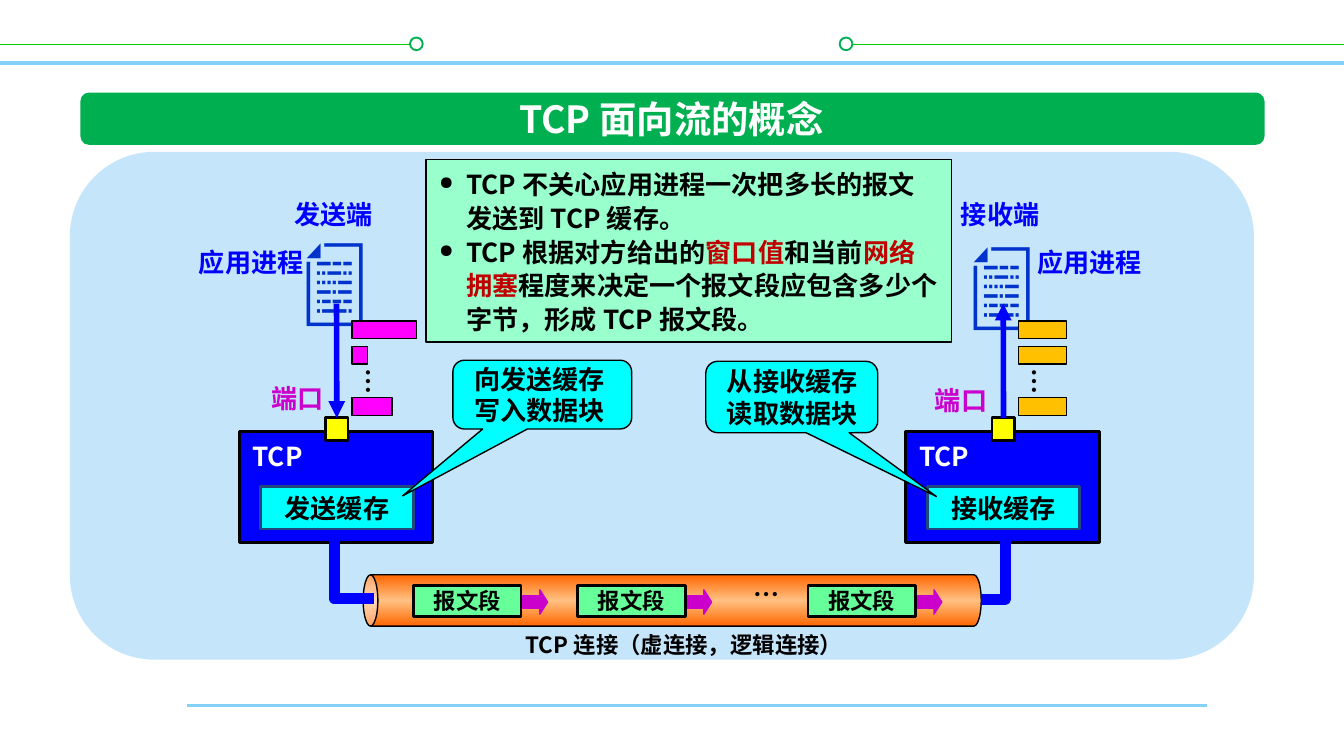
import copy
import pptx
import pptx.util
import pptx.dml.color
import pptx.enum.shapes
import pptx.enum.text
import pptx.oxml
import pptx.oxml.ns
from lxml import etree

Cm, Pt = pptx.util.Cm, pptx.util.Pt
KIND = pptx.enum.shapes.MSO_SHAPE
LINE = pptx.enum.shapes.MSO_CONNECTOR.STRAIGHT
ALIGN = pptx.enum.text.PP_ALIGN
ANCHOR = pptx.enum.text.MSO_ANCHOR
FONT = "Noto Sans CJK SC"
HUE = {"white": "FFFFFF", "black": "000000", "sky": "85D1F7", "lime": "00CC00",
       "green": "00B050", "panel": "C5E5FB", "page": "0033CC", "blue": "0000FF",
       "purple": "CC00CC", "pink": "FF00FF", "gold": "FFC000", "navy": "1F497D",
       "cyan": "00FFFF", "yellow": "FFFF00", "mint": "99FFCC", "leaf": "66FF99",
       "red": "C00000", "orange": "FF6600", "peach": "FFC183"}

TITLE = "TCP 面向流的概念"
NOTES = [
    [("TCP 不关心应用进程一次把多长的报文发送到 TCP 缓存。", "black")],
    [("TCP 根据对方给出的", "black"), ("窗口值", "red"), ("和当前", "black"),
     ("网络拥塞", "red"),
     ("程度来决定一个报文段应包含多少个字节，形成 TCP 报文段。", "black")],
]
RULES = [(3.53, 22.81, 13.34, "sky", 1.5), (0, 25.4, 1.19, "sky", 2),
         (0, 7.87, 0.84, "lime", 1), (15.88, 25.4, 0.84, "lime", 1)]
RINGS = [7.75, 15.87]
SIDES = [
    {"dx": 0, "role": "发送端", "store": "发送缓存", "app": 3.51, "page": 4.04,
     "port": (4.88, 7.09), "hue": "pink", "bars": [1.22, 0.3, 0.76],
     "call": (8.56, 6.81, 3.38, 1.3), "adj": [-0.781, 1.472, 0.167],
     "say": ["向发送缓存", "写入数据块"], "at": (8.71, 6.73), "down": True},
    {"dx": 12.6, "role": "接收端", "store": "接收缓存", "app": 19.35, "page": 4.11,
     "port": (17.42, 7.14), "hue": "gold", "bars": [0.91, 0.91, 0.91],
     "call": (13.34, 6.83, 3.25, 1.35), "adj": [0.841, 1.394, 0.167],
     "say": ["从接收缓存", "读取数据块"], "at": (13.49, 6.78), "down": False},
]
BARS = [6.07, 6.55, 7.52]
PARTS = [7.82, 10.92, 15.27]
ELBOWS = [[(6.32, 10.19), (6.32, 11.32), (7.06, 11.32)],
          [(18.54, 11.33), (19, 11.33), (19, 10.19)]]

deck = pptx.Presentation()
deck.slide_width, deck.slide_height = Cm(25.4), Cm(14.29)
slide = deck.slides.add_slide(deck.slide_layouts[5])
shapes = slide.shapes


def rgb(name):
    return pptx.dml.color.RGBColor.from_string(HUE[name])


def add(node, tag, **vals):
    return etree.SubElement(node, pptx.oxml.ns.qn(tag), **vals)


def apply(item, vals):
    for key, val in vals.items():
        setattr(item, key, val)


def place(item, box):
    apply(item, dict(zip(("left", "top", "width", "height"), map(Cm, box))))


def stroke(item, hue, width):
    item.line.color.rgb = rgb(hue)
    item.line.width = Pt(width)


def write(item, paras, size=14, align=ALIGN.LEFT, wrap=False,
          anchor=ANCHOR.MIDDLE, inset=0, **form):
    frame = item.text_frame
    apply(frame, {"word_wrap": wrap, "vertical_anchor": anchor,
                  "auto_size": pptx.enum.text.MSO_AUTO_SIZE.NONE,
                  "margin_left": Cm(0.25), "margin_right": Cm(0.25),
                  "margin_top": Cm(inset), "margin_bottom": Cm(inset)})
    for i, runs in enumerate(paras):
        para = frame.add_paragraph() if i else frame.paragraphs[0]
        apply(para, {"alignment": align, **form})
        for words, hue in runs:
            run = para.add_run()
            run.text = words
            apply(run.font, {"name": FONT, "size": Pt(size), "bold": True})
            run.font.color.rgb = rgb(hue)
            add(run._r.get_or_add_rPr(), "a:ea", typeface=FONT)


def label(box, words, hue="black", **form):
    item = shapes.add_textbox(*map(Cm, box))
    write(item, [[(words, hue)]], **form)
    return item


def draw(kind, box, fill, edge=None, width=0.75, adj=()):
    item = shapes.add_shape(kind, *map(Cm, box))
    item.shadow.inherit = False
    if fill:
        item.fill.solid()
        item.fill.fore_color.rgb = rgb(fill)
    if edge:
        stroke(item, edge, width)
    else:
        item.line.fill.background()
    for i, val in enumerate(adj):
        item.adjustments[i] = val
    return item


def link(start, end, hue, width):
    item = shapes.add_connector(LINE, *map(Cm, start + end))
    stroke(item, hue, width)
    add(item.element.spPr, "a:effectLst")
    return item


def side(data):
    dx = data["dx"]
    label((5.49 + dx, data["page"], 1.7, 2.31), "📄", "page", size=48)
    label(data["port"] + (1.5, 0.86), "端口", "purple")
    label((6.48 + dx, 6.78, 0.97, 0.84), "…").rotation = 90
    for top, wide in zip(BARS, data["bars"]):
        draw(KIND.RECTANGLE, (6.65 + dx, top, wide, 0.33), data["hue"], "black")
    host = draw(KIND.RECTANGLE, (4.52 + dx, 8.15, 3.66, 2.11), "blue", "black", 1.5)
    write(host, [[("TCP", "white")]], wrap=True, anchor=ANCHOR.TOP, inset=0.17)
    store = draw(KIND.RECTANGLE, (4.93 + dx, 9.19, 2.88, 0.81), "cyan", "navy", 1.5)
    write(store, [[(data["store"], "black")]], align=ALIGN.CENTER)
    label((5.31 + dx, 3.61, 2.01, 0.86), data["role"], "blue")
    label((data["app"], 4.52, 2.51, 0.86), "应用进程", "blue")
    draw(KIND.ROUNDED_RECTANGULAR_CALLOUT, data["call"], "cyan", "black",
         adj=data["adj"])
    say = shapes.add_textbox(*map(Cm, data["at"] + (3, 1.45)))
    write(say, [[(words, "black")] for words in data["say"]], line_spacing=Pt(17))
    gate = draw(KIND.RECTANGLE, (6.15 + dx, 7.9, 0.43, 0.43), "yellow", "black", 1.5)
    ends = [(6.36 + dx, 5.74), (6.36 + dx, 7.9)]
    if not data["down"]:
        ends.reverse()
    flow = link(*ends, "blue", 3)
    join = flow.end_connect if data["down"] else flow.begin_connect
    join(gate, 0)
    add(flow.line._get_or_add_ln(), "a:tailEnd", type="triangle")


for left, right, top, hue, width in RULES:
    link((left, top), (right, top), hue, width)
for left in RINGS:
    draw(KIND.OVAL, (left, 0.71, 0.24, 0.24), "white", "green", 1)

bar = draw(KIND.ROUNDED_RECTANGLE, (1.52, 1.75, 22.38, 0.99), "green")
title = shapes.title
place(title, (8.19, 1.68, 9, 1.12))
write(title, [[(TITLE, "white")]], size=20, align=ALIGN.CENTER)
bar.element.addnext(title.element)
draw(KIND.ROUNDED_RECTANGLE, (1.32, 2.87, 22.38, 9.6), "panel")

for data in SIDES:
    side(data)

note = draw(KIND.RECTANGLE, (8.05, 3.02, 9.93, 3.45), "mint", "black")
write(note, NOTES, wrap=True, anchor=ANCHOR.TOP, inset=0.13, line_spacing=Pt(18))
for para in note.text_frame.paragraphs:
    props = para._p.get_or_add_pPr()
    props.set("marL", str(Cm(0.51)))
    props.set("indent", str(-Cm(0.51)))
    add(props, "a:buSzPct", val="70000")
    add(props, "a:buChar", char="●")

pipe = draw(KIND.CAN, (12.22, 5.51, 0.97, 11.68), None, "black", adj=[0.286])
pipe.rotation = 270
pipe.fill.gradient()
pipe.fill.gradient_angle = 0
first = pipe.element.spPr.xpath(".//a:gs")[0]
first.addnext(copy.deepcopy(first))
for stop, spot, hue in zip(pipe.fill.gradient_stops, (0, 0.5, 1),
                           ("orange", "peach", "orange")):
    stop.position = spot
    stop.color.rgb = rgb(hue)

label((9.63, 11.81, 6.6, 0.76), "TCP 连接（虚连接，逻辑连接）", size=12,
      align=ALIGN.CENTER)
for left in PARTS:
    draw(KIND.RIGHT_ARROW, (left + 1.95, 11.15, 0.58, 0.46), "purple", "purple",
         adj=[0.5, 0.316])
    part = draw(KIND.RECTANGLE, (left, 11.07, 2.03, 0.58), "leaf", "black", 1.5)
    write(part, [[("报文段", "black")]], size=12, align=ALIGN.CENTER)
label((14, 10.8, 0.97, 0.84), "…")

for dots in ELBOWS:
    spots = [tuple(map(Cm, dot)) for dot in dots]
    path = shapes.build_freeform(*spots[0])
    path.add_line_segments(spots[1:], close=False)
    bend = path.convert_to_shape()
    bend.shadow.inherit = False
    bend.fill.background()
    stroke(bend, "blue", 6)

deck.save("out.pptx")
